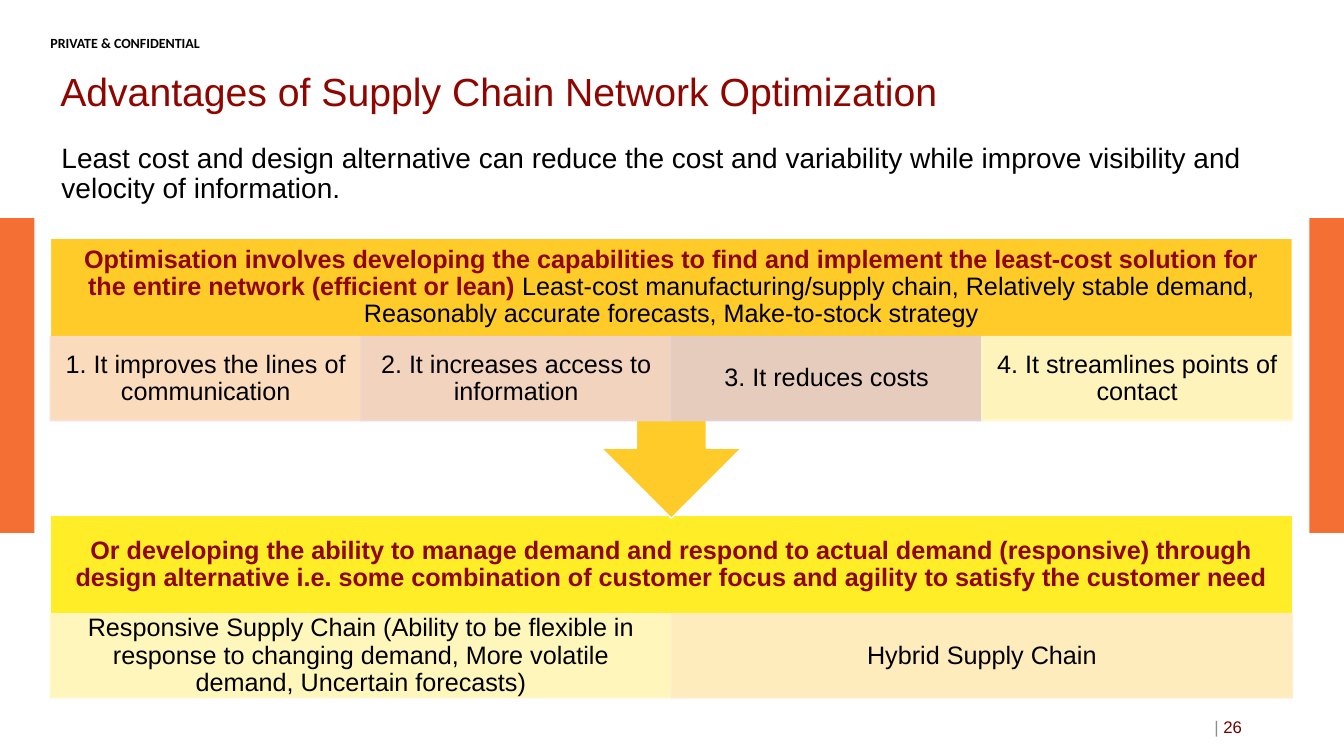
import pptx
import pptx.util
import pptx.dml.color
import pptx.enum.shapes
import pptx.enum.text
import pptx.oxml
import pptx.oxml.ns

Cm = pptx.util.Cm
Pt = pptx.util.Pt
RGBColor = pptx.dml.color.RGBColor
SHAPE = pptx.enum.shapes.MSO_SHAPE
ALIGN = pptx.enum.text.PP_ALIGN
ANCHOR = pptx.enum.text.MSO_ANCHOR

BLACK = RGBColor(0x00, 0x00, 0x00)
WHITE = RGBColor(0xFF, 0xFF, 0xFF)
GREY = RGBColor(0x8C, 0x8C, 0x8C)
DARK_RED = RGBColor(0x8F, 0x05, 0x00)
DEEP_RED = RGBColor(0x6A, 0x05, 0x00)
ORANGE = RGBColor(0xF4, 0x6F, 0x33)
AMBER = RGBColor(0xFF, 0xCB, 0x28)
YELLOW = RGBColor(0xFF, 0xED, 0x28)
PEACH = RGBColor(0xFA, 0xDE, 0xCE)
ROSE = RGBColor(0xF1, 0xD5, 0xCF)
MAUVE = RGBColor(0xE4, 0xCD, 0xCD)
CREAM = RGBColor(0xFF, 0xF8, 0xCD)
APRICOT = RGBColor(0xFF, 0xEC, 0xCD)

SLIDE_W, SLIDE_H = 33.87, 19.05
LEFT, WIDTH = 1.27, 31.3
BAND_H, CELL_H = 2.48, 2.12
TOP_BAND, BOTTOM_BAND = 6, 12.99
BAND_INSETS = (0.36, 0.36, 0.36, 0.36)
CELL_INSETS = (0.36, 0.08, 0.36, 0.08)


def write(sp, runs, size, insets=(0.25, 0.13, 0.25, 0.13), align=ALIGN.LEFT,
          anchor=ANCHOR.MIDDLE, spacing=0.9, font="Arial"):
    """Fill a shape with one paragraph; runs are (text, colour, bold)."""
    tf = sp.text_frame
    tf.word_wrap = True
    tf.vertical_anchor = anchor
    tf.margin_left, tf.margin_top, tf.margin_right, tf.margin_bottom = map(Cm, insets)
    p = tf.paragraphs[0]
    p.alignment = align
    p.line_spacing = spacing
    for text, color, bold in runs:
        r = p.add_run()
        r.text = text
        r.font.name = font
        r.font.size = Pt(size)
        r.font.bold = bold
        r.font.color.rgb = color
    return p


def add_text(s, box, runs, size, **style):
    return write(s.shapes.add_textbox(*map(Cm, box)), runs, size, **style)


def add_block(s, box, fill, line=None, kind=SHAPE.RECTANGLE):
    sp = s.shapes.add_shape(kind, *map(Cm, box))
    sp.shadow.inherit = False
    sp.fill.solid()
    sp.fill.fore_color.rgb = fill
    if line is None:
        sp.line.fill.background()
    else:
        sp.line.color.rgb = line
        sp.line.width = Pt(1)
    return sp


def set_opacity(sp, percent):
    """Apply one opacity to both the fill and the outline."""
    for color in sp.element.spPr.iter(pptx.oxml.ns.qn("a:srgbClr")):
        color.append(pptx.oxml.parse_xml(
            f'<a:alpha {pptx.oxml.ns.nsdecls("a")} val="{percent * 1000}"/>'))


def add_band_text(s, top, runs):
    add_text(s, (LEFT, top, WIDTH, BAND_H), runs, 18,
             insets=BAND_INSETS, align=ALIGN.CENTER)


def add_cells(s, top, cells):
    """Split the full width evenly between the (text, colour) cells."""
    width = WIDTH / len(cells)
    for i, (text, color) in enumerate(cells):
        sp = add_block(s, (LEFT + i * width, top, width, CELL_H), color, color)
        set_opacity(sp, 90)
        write(sp, [(text, BLACK, False)], 18, insets=CELL_INSETS, align=ALIGN.CENTER)


def main():
    prs = pptx.Presentation()
    prs.slide_width, prs.slide_height = Cm(SLIDE_W), Cm(SLIDE_H)
    s = prs.slides.add_slide(prs.slide_layouts[6])

    # Side bars and confidentiality mark
    bar_w = 0.87
    for left in (0, SLIDE_W - bar_w):
        add_block(s, (left, 5.5, bar_w, 7.93), ORANGE)
    add_text(s, (LEFT, 0.87, 6.43, 0.3), [("PRIVATE & CONFIDENTIAL", BLACK, True)], 10,
             insets=(0, 0, 0, 0), anchor=ANCHOR.TOP, spacing=1.0, font="Calibri")

    # Title and introduction
    add_text(s, (LEFT, 1.47, 27.61, 1.8),
             [("Advantages of Supply Chain Network Optimization", DARK_RED, False)], 28)
    add_text(s, (1.3, 3.51, 31.27, 2),
             [("Least cost and design alternative can reduce the cost and variability "
               "while improve visibility and velocity of information.", BLACK, False)],
             20, anchor=ANCHOR.TOP)

    # Responsive option
    add_block(s, (LEFT, BOTTOM_BAND, WIDTH, BAND_H + CELL_H), YELLOW, WHITE)
    add_band_text(s, BOTTOM_BAND, [
        ("Or developing the ability to manage demand and respond to actual demand "
         "(responsive) through design alternative i.e. some combination of customer "
         "focus and agility to satisfy the customer need", DARK_RED, True)])
    add_cells(s, BOTTOM_BAND + BAND_H, [
        ("Responsive Supply Chain (Ability to be flexible in response to changing "
         "demand, More volatile demand, Uncertain forecasts)", CREAM),
        ("Hybrid Supply Chain", APRICOT)])

    # Least-cost option, pointing down to the responsive one
    callout = add_block(s, (LEFT, TOP_BAND, WIDTH, 7.06), AMBER, WHITE,
                        SHAPE.UP_ARROW_CALLOUT)
    callout.rotation = 180
    add_band_text(s, TOP_BAND, [
        ("Optimisation involves developing the capabilities to find and implement the "
         "least-cost solution for the entire network (efficient or lean) ", DARK_RED, True),
        ("Least-cost manufacturing/supply chain, Relatively stable demand, Reasonably "
         "accurate forecasts, Make-to-stock strategy", BLACK, False)])
    add_cells(s, TOP_BAND + BAND_H, [
        ("1. It improves the lines of communication", PEACH),
        ("2. It increases access to information", ROSE),
        ("3. It reduces costs", MAUVE),
        ("4. It streamlines points of contact", CREAM)])

    # Slide number
    add_text(s, (23.93, 17.81, 7.62, 1.02),
             [("| ", GREY, False), ("26", DEEP_RED, False)], 12,
             align=ALIGN.RIGHT, spacing=1.0)

    prs.save("out.pptx")


if __name__ == "__main__":
    main()
